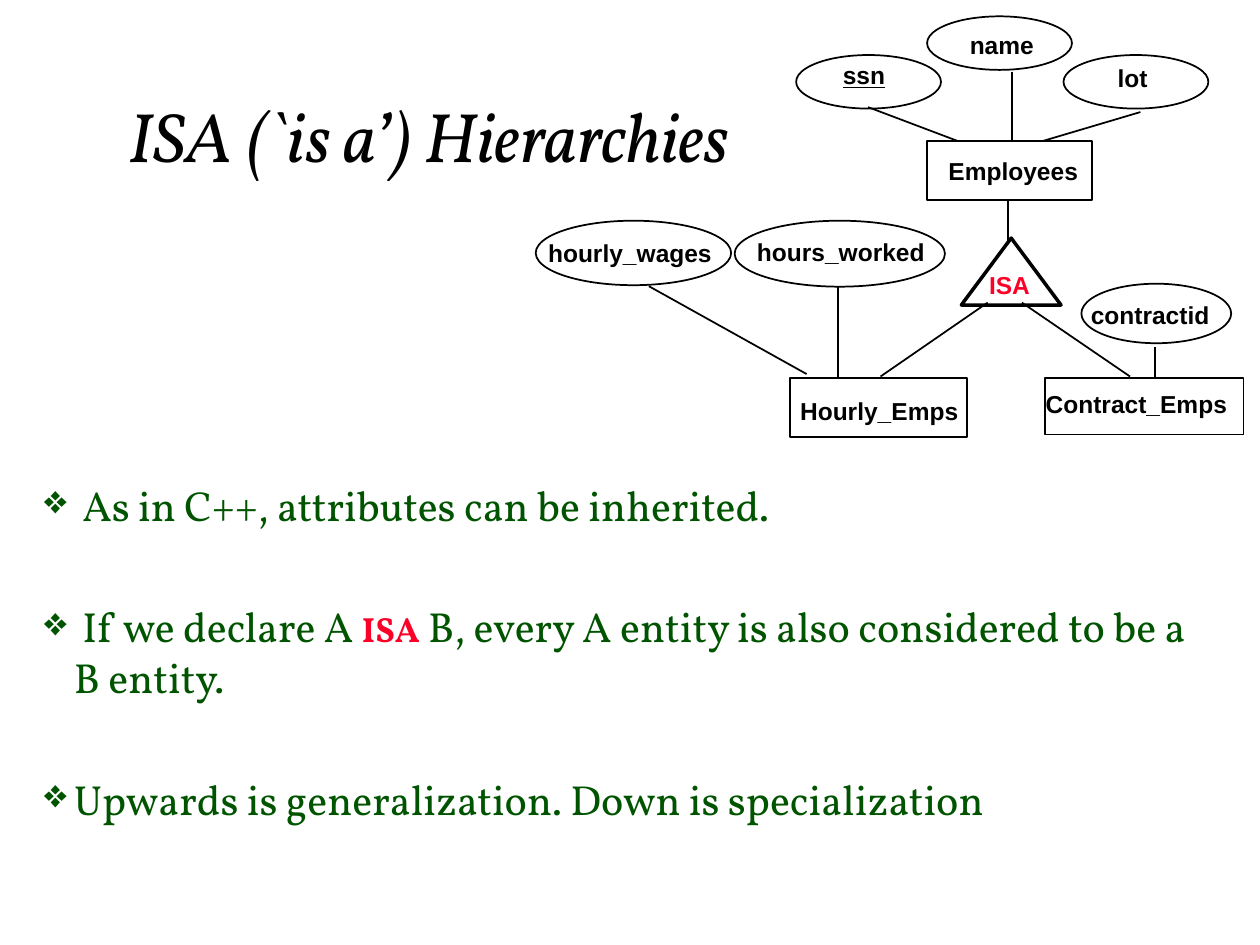
from lxml import etree
from pptx import Presentation
from pptx.dml.color import RGBColor
from pptx.enum.shapes import MSO_CONNECTOR, MSO_SHAPE
from pptx.enum.text import MSO_ANCHOR, PP_ALIGN
from pptx.oxml.ns import qn
from pptx.util import Cm, Pt

OVAL = MSO_SHAPE.OVAL
RECTANGLE = MSO_SHAPE.RECTANGLE
TRIANGLE = MSO_SHAPE.ISOSCELES_TRIANGLE
STRAIGHT = MSO_CONNECTOR.STRAIGHT
LEFT = PP_ALIGN.LEFT
TOP = MSO_ANCHOR.TOP
MIDDLE = MSO_ANCHOR.MIDDLE

COLORS = {"ink": "000000", "accent": "FC0128", "body": "005400"}
BODY_FONT = "Vollkorn"
LABEL_FONT = "Arial"
LABEL_HEIGHT = 0.84
BULLET_INDENT = Cm(0.6)

TITLE = "ISA (`is a’) Hierarchies"

NODES = [
    ("ssn", OVAL, (16.05, 1.11, 2.92, 1.08), (16.74, 1.09, 1.35), {"underline": True}),
    ("lot", OVAL, (21.44, 1.11, 2.92, 1.08), (22.28, 1.14, 1.12), {}),
    ("name", OVAL, (18.69, 0.33, 2.92, 1.08), (19.3, 0.48, 1.8), {}),
    ("Employees", RECTANGLE, (18.69, 2.84, 3.33, 1.19), (18.87, 3.02, 3.12), {}),
    ("hourly_wages", OVAL, (10.8, 4.45, 3.94, 1.3), (10.8, 4.67, 3.81), {}),
    ("hours_worked", OVAL, (14.81, 4.45, 4.24, 1.33), (15.01, 4.65, 3.89), {}),
    ("contractid", OVAL, (21.8, 5.72, 3.02, 1.2), (21.74, 5.92, 2.9), {}),
    ("Hourly_Emps", RECTANGLE, (15.93, 7.62, 3.56, 1.19), (15.88, 7.85, 3.71), {}),
    ("Contract_Emps", RECTANGLE, (21.06, 7.62, 4.01, 1.14), (20.83, 7.72, 4.17), {}),
    ("ISA", TRIANGLE, (19.38, 4.8, 2.01, 1.35), (19.69, 5.31, 1.32), {"color": "accent"}),
]

LINKS = [
    (17.5, 2.16, 19.3, 2.84),
    (20.4, 1.45, 20.4, 2.84),
    (22.99, 2.26, 21.03, 2.84),
    (20.32, 4.88, 20.32, 4.01),
    (13.08, 5.77, 16.26, 7.54),
    (16.89, 5.77, 16.89, 7.59),
    (19.91, 6.1, 17.75, 7.59),
    (20.6, 6.1, 22.78, 7.59),
    (23.29, 6.99, 23.29, 7.62),
]

BULLETS = [
    [(" As in C++, attributes can be inherited.", {})],
    [
        (" If we declare A ", {}),
        ("ISA", {"size": 20, "color": "accent", "bold": True}),
        (" B, every A entity is also considered to be a B entity.", {}),
    ],
    [("Upwards is generalization. Down is specialization", {})],
]


def rgb(name):
    return RGBColor.from_string(COLORS[name])


def lengths(values):
    return [Cm(value) for value in values]


def add_run(paragraph, text, font=BODY_FONT, size=24, color="body", bold=False,
            italic=False, underline=False):
    run = paragraph.add_run()
    run.text = text
    run.font.name = font
    run.font.size = Pt(size)
    run.font.color.rgb = rgb(color)
    run.font.bold = bold
    run.font.italic = italic
    run.font.underline = underline


def set_frame(frame, anchor=TOP, right=0.25):
    frame.word_wrap = True
    frame.vertical_anchor = anchor
    frame.margin_left = Cm(0.25)
    frame.margin_right = Cm(right)
    frame.margin_top = frame.margin_bottom = Cm(0.13)


def add_bullet(paragraph):
    properties = paragraph._p.get_or_add_pPr()
    properties.set("marL", str(BULLET_INDENT))
    properties.set("indent", str(-BULLET_INDENT))
    color = etree.SubElement(properties, qn("a:buClr"))
    etree.SubElement(color, qn("a:srgbClr"), val=COLORS["body"])
    etree.SubElement(properties, qn("a:buSzPct"), val="95000")
    etree.SubElement(properties, qn("a:buChar"), char="❖")


def add_node(slide, name, outline, box, label_place, label_format):
    shape = slide.shapes.add_shape(outline, *lengths(box))
    shape.shadow.inherit = False
    shape.fill.background()
    shape.line.color.rgb = rgb("ink")
    shape.line.width = Pt(2 if outline == TRIANGLE else 1)
    label = slide.shapes.add_textbox(*lengths((*label_place, LABEL_HEIGHT)))
    set_frame(label.text_frame, right=0)
    style = {"font": LABEL_FONT, "size": 14, "color": "ink", "bold": True, **label_format}
    add_run(label.text_frame.paragraphs[0], name, **style)


def add_link(slide, ends):
    link = slide.shapes.add_connector(STRAIGHT, *lengths(ends))
    link.line.color.rgb = rgb("ink")
    link.line.width = Pt(1)
    etree.SubElement(link._element.spPr, qn("a:effectLst"))


def add_title(slide):
    title = slide.shapes.title
    title.left, title.top, title.width, title.height = lengths((2.34, 1.17, 21.59, 3.07))
    set_frame(title.text_frame, anchor=MIDDLE)
    paragraph = title.text_frame.paragraphs[0]
    paragraph.alignment = LEFT
    add_run(paragraph, TITLE, size=40, color="ink", italic=True)


def add_body(slide):
    body = slide.shapes.add_textbox(*lengths((0.64, 9.53, 23.7, 7.19)))
    frame = body.text_frame
    set_frame(frame)
    for index, runs in enumerate(BULLETS):
        paragraph = frame.add_paragraph() if index else frame.paragraphs[0]
        paragraph.space_before = Pt(40.8 if index else 6)
        add_bullet(paragraph)
        for text, style in runs:
            add_run(paragraph, text, **style)


def main():
    presentation = Presentation()
    presentation.slide_width, presentation.slide_height = Cm(25.4), Cm(19.05)
    slide = presentation.slides.add_slide(presentation.slide_layouts[5])
    add_title(slide)
    for node in NODES:
        add_node(slide, *node)
    for ends in LINKS:
        add_link(slide, ends)
    add_body(slide)
    presentation.save("out.pptx")


if __name__ == "__main__":
    main()
